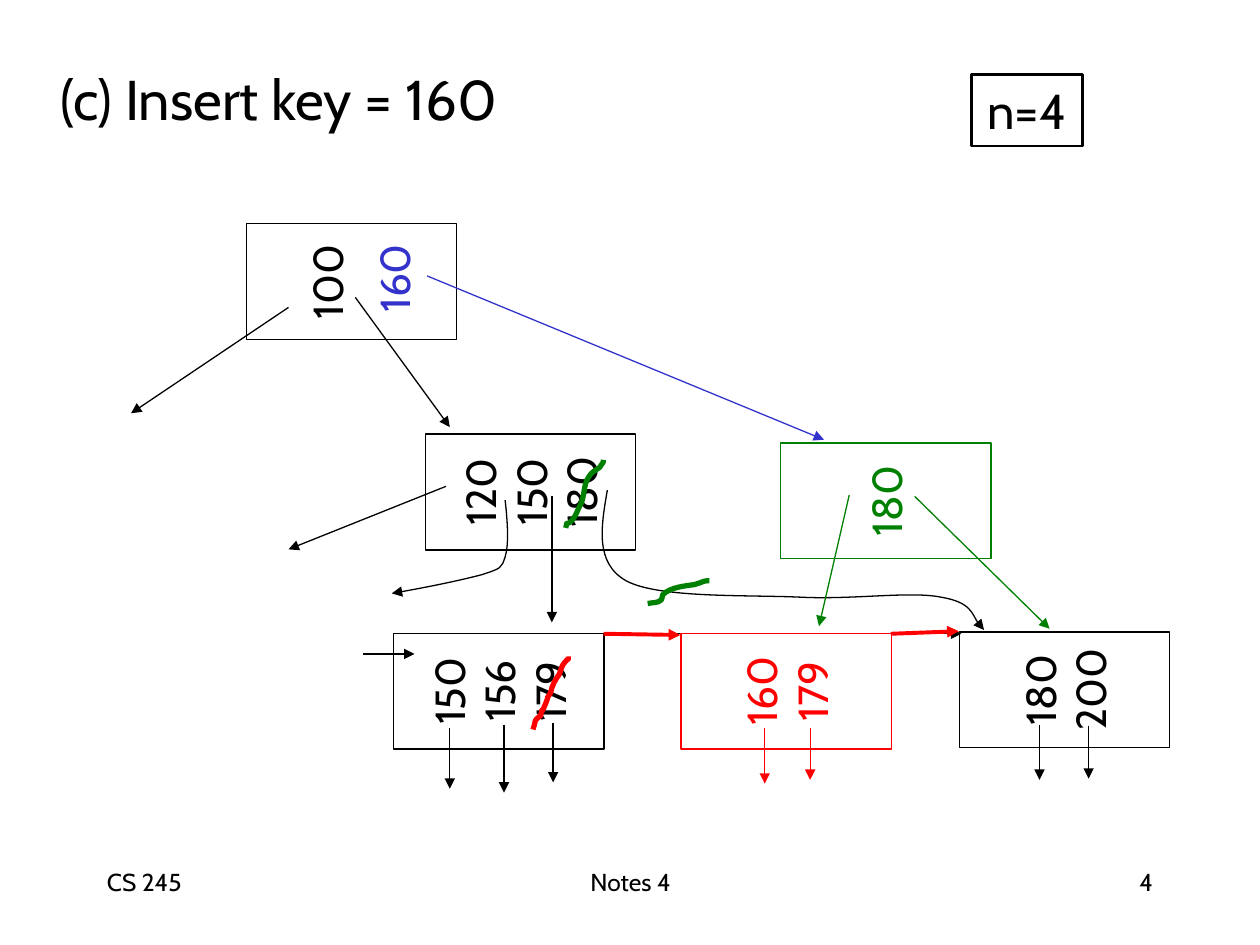
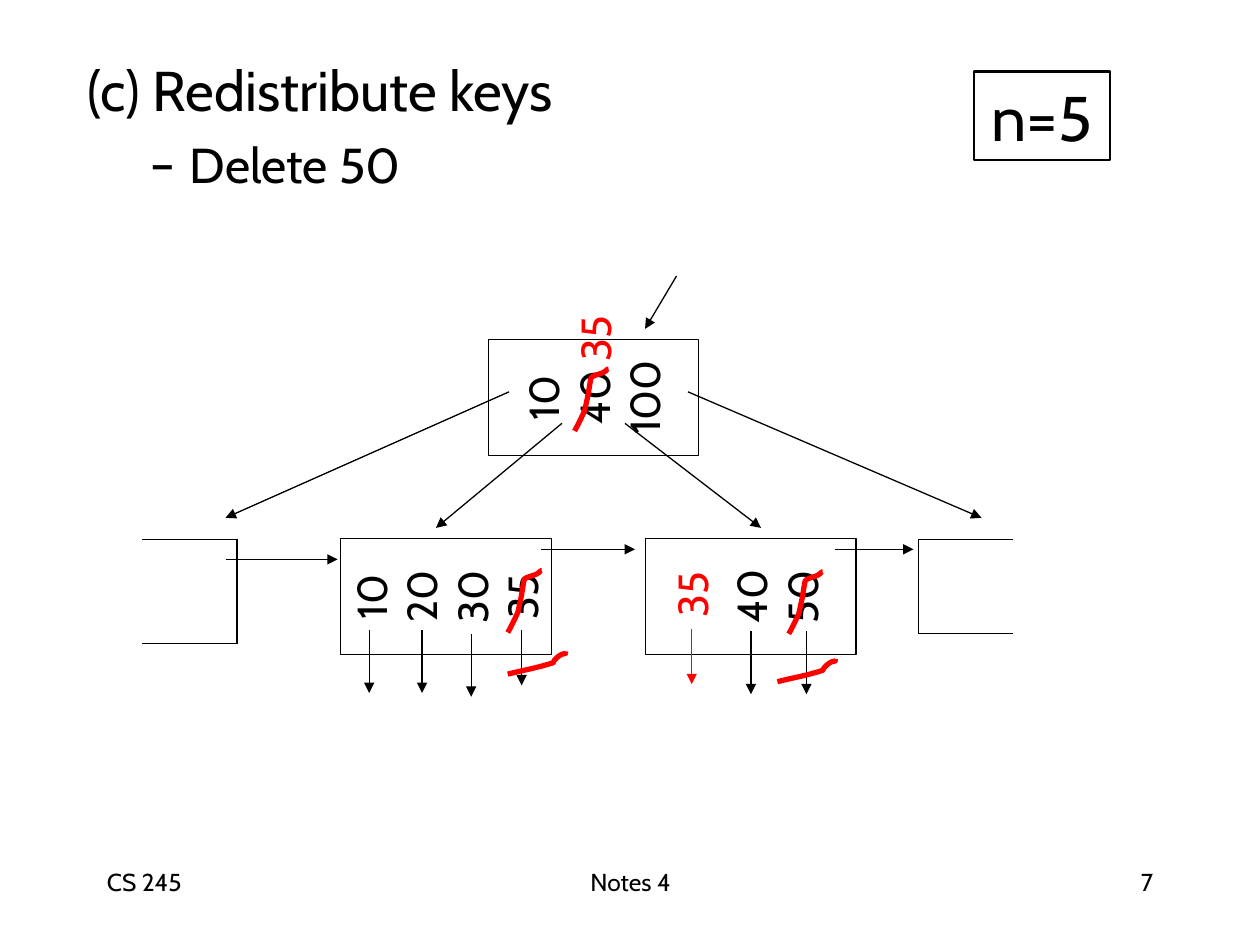
from lxml.etree import SubElement
from pptx import Presentation
from pptx.dml.color import RGBColor
from pptx.enum.shapes import MSO_CONNECTOR as CONNECTOR, MSO_SHAPE as SHAPE
from pptx.enum.text import MSO_ANCHOR as ANCHOR, MSO_AUTO_SIZE as AUTO_SIZE, PP_ALIGN as ALIGN
from pptx.oxml.ns import qn
from pptx.util import Inches, Pt

FONT = "Cabin"
BLACK, WHITE, BLUE, GREEN, RED = "000000", "FFFFFF", "3333CC", "008000", "FF0000"
NODE_LONG, NODE_SHORT = 1.67, 0.92
KEY_PITCH = 0.4
THIN, THICK, MARKER = 0.75, 2.25, 3

KEY_STRIKE = [(0, 0.49), (0.03, 0.44), (0.08, 0.33), (0.08, 0.33),
              (0.12, 0.15), (0.1, 0.24), (0.13, 0.07),
              (0.14, 0.05), (0.2, 0.04), (0.22, 0.03),
              (0.28, 0), (0.24, 0), (0.27, 0)]
POINTER_STRIKE = [(0, 0.19), (0.12, 0.16), (0.24, 0.14), (0.36, 0.1),
                  (0.37, 0.09), (0.37, 0.07), (0.39, 0.06),
                  (0.46, 0), (0.46, 0.05), (0.46, 0.01)]


def rgb(value):
    return RGBColor.from_string(value)


def write(paragraph, text, size, color=BLACK, align=ALIGN.LEFT):
    paragraph.alignment = align
    run = paragraph.add_run()
    run.text = text
    run.font.name = FONT
    run.font.size = Pt(size)
    run.font.color.rgb = rgb(color)


def set_indent(paragraph, left, hanging, bullet=None):
    props = paragraph._p.get_or_add_pPr()
    props.set("marL", str(Inches(left)))
    props.set("indent", str(-Inches(hanging)))
    if bullet:
        SubElement(props, qn("a:buFont")).set("typeface", FONT)
        SubElement(props, qn("a:buChar")).set("char", bullet)
    else:
        SubElement(props, qn("a:buNone"))


def add_text(slide, box, text, size, color=BLACK, align=ALIGN.LEFT):
    label = slide.shapes.add_textbox(*map(Inches, box))
    label.text_frame.word_wrap = True
    write(label.text_frame.paragraphs[0], text, size, color, align)
    return label


def add_footer(slide, number):
    add_text(slide, (0.75, 6.83, 2.08, 0.5), "CS 245", 14)
    add_text(slide, (3.42, 6.83, 3.17, 0.5), "Notes 4", 14, align=ALIGN.CENTER)
    add_text(slide, (7.17, 6.83, 2.08, 0.5), number, 14, align=ALIGN.RIGHT)


def add_heading(slide, box, title, step=None):
    frame = add_text(slide, box, title, 32).text_frame
    frame.paragraphs[0].space_before = Pt(8)
    set_indent(frame.paragraphs[0], 0.38, 0.38)
    if step:
        detail = frame.add_paragraph()
        write(detail, step, 28)
        detail.space_before = Pt(7)
        set_indent(detail, 0.81, 0.31, "–")


def add_box(slide, box, color, width):
    shape = slide.shapes.add_shape(SHAPE.RECTANGLE, *map(Inches, box))
    shape.shadow.inherit = False
    shape.line.color.rgb = rgb(color)
    shape.line.width = Pt(width)
    shape.text_frame.word_wrap = False
    shape.text_frame.vertical_anchor = ANCHOR.MIDDLE
    return shape


def add_order(slide, box, text, size):
    order = add_box(slide, box, BLACK, 1.5)
    order.fill.background()
    order.text_frame.auto_size = AUTO_SIZE.SHAPE_TO_FIT_TEXT
    paragraph = order.text_frame.paragraphs[0]
    paragraph.space_before = Pt(17.5)
    write(paragraph, text, size, align=ALIGN.CENTER)


def add_node(slide, left, top, keys, color=BLACK, free_before=0, free_after=0):
    node = add_box(slide, (left, top, NODE_SHORT, NODE_LONG), color, THIN)
    node.rotation = 270
    node.fill.solid()
    node.fill.fore_color.rgb = rgb(WHITE)
    frame = node.text_frame
    frame.margin_top = Inches(0.05 + KEY_PITCH * free_before)
    frame.margin_bottom = Inches(0.05 + KEY_PITCH * free_after)
    for i, key in enumerate(keys):
        paragraph = frame.add_paragraph() if i else frame.paragraphs[0]
        write(paragraph, key, 24, color, ALIGN.CENTER)


def add_new_key(slide, box, key, color):
    label = add_text(slide, box, key, 24, color, ALIGN.CENTER)
    label.text_frame.word_wrap = False
    label.text_frame.auto_size = AUTO_SIZE.SHAPE_TO_FIT_TEXT
    label.text_frame.vertical_anchor = ANCHOR.MIDDLE
    label.rotation = 270


def add_arrowhead(line):
    SubElement(line._get_or_add_ln(), qn("a:tailEnd")).set("type", "triangle")


def add_line(slide, start, end, color=BLACK, width=THIN, arrow=True):
    link = slide.shapes.add_connector(CONNECTOR.STRAIGHT, *map(Inches, (*start, *end)))
    link.line.color.rgb = rgb(color)
    link.line.width = Pt(width)
    if arrow:
        add_arrowhead(link.line)
    SubElement(link._element.spPr, qn("a:effectLst"))


def add_pointers(slide, pointers, color=BLACK):
    for x, top, bottom in pointers:
        add_line(slide, (x, top), (x, bottom), color)


def bend(curve):
    segments = list(curve._element.iter(qn("a:lnTo")))
    outline = segments[0].getparent()
    for i in range(0, len(segments), 3):
        cubic = SubElement(outline, qn("a:cubicBezTo"))
        for segment in segments[i:i + 3]:
            cubic.append(segment[0])
            outline.remove(segment)


def add_curve(slide, points, color=BLACK, width=THIN, arrow=False, origin=(0, 0)):
    start, *rest = [(Inches(x + origin[0]), Inches(y + origin[1])) for x, y in points]
    builder = slide.shapes.build_freeform(*start)
    builder.add_line_segments(rest, close=False)
    curve = builder.convert_to_shape()
    bend(curve)
    curve.shadow.inherit = False
    curve.fill.background()
    curve.line.color.rgb = rgb(color)
    curve.line.width = Pt(width)
    if arrow:
        add_arrowhead(curve.line)


def add_open_node(slide, edge, outer, top, bottom):
    for start, end in (((outer, top), (edge, top)), ((edge, top), (edge, bottom)),
                       ((edge, bottom), (outer, bottom))):
        add_line(slide, start, end, arrow=False)


def build_insert(slide):
    add_footer(slide, "4")
    add_heading(slide, (0.38, 0.46, 4.76, 0.74), "(c) Insert key = 160")
    add_order(slide, (7.71, 0.59, 0.88, 0.57), "n=4", 28)

    add_node(slide, 2.33, 1.4, ["100"], free_after=1)
    add_line(slide, (2.29, 2.44), (1.04, 3.28))
    add_line(slide, (2.82, 2.36), (3.57, 3.39))
    add_node(slide, 3.75, 3.07, ["120", "150", "180"])
    add_node(slide, 3.5, 4.65, ["150", "156", "179"])
    add_node(slide, 7.99, 4.64, ["180", "200"])
    add_line(slide, (3.54, 3.86), (2.29, 4.36))
    add_line(slide, (2.88, 5.19), (3.29, 5.19))
    add_line(slide, (4.38, 3.94), (4.38, 4.94))
    add_curve(slide, [(4.01, 3.97), (4.03, 4.15), (4.04, 4.32), (4.01, 4.42),
                      (3.98, 4.51), (3.98, 4.51), (3.83, 4.56),
                      (3.68, 4.6), (3.4, 4.66), (3.11, 4.71)], arrow=True)
    add_line(slide, (4.79, 5.03), (7.63, 5.03))
    add_curve(slide, [(4.82, 3.89), (4.77, 4.18), (4.72, 4.47), (4.97, 4.61),
                      (5.23, 4.75), (5.94, 4.72), (6.36, 4.74),
                      (6.78, 4.76), (7.23, 4.69), (7.47, 4.74),
                      (7.71, 4.78), (7.75, 4.96), (7.81, 5)], arrow=True)

    add_new_key(slide, (2.74, 1.96, 0.77, 0.5), "160", BLUE)
    add_line(slide, (3.39, 2.19), (6.54, 3.49), BLUE)
    add_pointers(slide, [(3.57, 5.78, 6.26), (4, 5.75, 6.29), (4.39, 5.74, 6.21),
                         (8.25, 5.75, 6.19), (8.64, 5.76, 6.18)])

    add_node(slide, 6.57, 3.14, ["180"], GREEN)
    add_line(slide, (6.74, 3.93), (6.5, 4.97), GREEN)
    add_line(slide, (7.26, 3.94), (8.33, 4.99), GREEN)
    add_curve(slide, [(5.14, 4.79), (5.18, 4.78), (5.22, 4.79), (5.25, 4.76),
                      (5.26, 4.75), (5.25, 4.73), (5.26, 4.72),
                      (5.32, 4.66), (5.44, 4.65), (5.51, 4.64),
                      (5.61, 4.61), (5.57, 4.61), (5.63, 4.61)], GREEN, MARKER)
    add_curve(slide, [(4.49, 4.19), (4.51, 4.11), (4.48, 4.19), (4.54, 4.13),
                      (4.57, 4.1), (4.59, 4.03), (4.61, 4),
                      (4.64, 3.94), (4.63, 3.85), (4.67, 3.79),
                      (4.69, 3.75), (4.73, 3.73), (4.76, 3.71),
                      (4.79, 3.66), (4.79, 3.68), (4.79, 3.65)], GREEN, MARKER)

    add_node(slide, 5.78, 4.65, ["160", "179"], RED)
    add_line(slide, (4.79, 5.03), (5.4, 5.04), RED, THICK)
    add_line(slide, (7.07, 5.03), (7.61, 5.01), RED, THICK)
    add_pointers(slide, [(6.07, 5.78, 6.22), (6.43, 5.78, 6.19)], RED)
    add_curve(slide, [(4.23, 5.79), (4.26, 5.7), (4.23, 5.73), (4.29, 5.68),
                      (4.32, 5.57), (4.27, 5.72), (4.32, 5.61),
                      (4.38, 5.47), (4.31, 5.59), (4.37, 5.5),
                      (4.38, 5.44), (4.41, 5.39), (4.44, 5.35),
                      (4.45, 5.32), (4.46, 5.28), (4.48, 5.26),
                      (4.52, 5.21), (4.51, 5.25), (4.51, 5.21)], RED, MARKER)


def build_redistribute(slide):
    add_footer(slide, "7")
    add_heading(slide, (0.6, 0.39, 5.1, 1.33), "(c) Redistribute keys", "Delete 50")

    add_node(slide, 4.25, 2.32, ["10", "40", "100"])
    add_node(slide, 3.08, 3.9, ["10", "20", "30", "35"])
    add_node(slide, 5.5, 3.9, ["40", "50"], free_before=1)
    add_open_node(slide, 1.88, 1.13, 4.28, 5.11)
    add_open_node(slide, 7.29, 8.04, 4.28, 5.03)

    for start, end in (((5.37, 2.19), (5.12, 2.61)),
                       ((4.46, 3.36), (3.46, 4.19)), ((4.96, 3.36), (6.04, 4.19)),
                       ((4.04, 3.11), (1.79, 4.11)), ((5.46, 3.11), (7.79, 4.11)),
                       ((1.79, 4.44), (2.68, 4.44)), ((4.29, 4.36), (5.04, 4.36)),
                       ((6.63, 4.36), (7.25, 4.36))):
        add_line(slide, start, end)
    add_pointers(slide, [(2.93, 5, 5.5), (3.35, 5, 5.5), (3.74, 5.03, 5.53),
                         (5.96, 5.01, 5.51), (6.4, 5.01, 5.51), (4.14, 5, 5.44)])
    add_order(slide, (7.73, 0.57, 1.08, 0.7), "n=5", 36)

    for left, top in ((5.2, 4.47), (4.43, 2.44)):
        add_new_key(slide, (left, top, 0.58, 0.5), "35", RED)
    add_pointers(slide, [(5.49, 4.99, 5.43)], RED)
    for origin in ((4.56, 2.93), (4.03, 4.53), (6.26, 4.54)):
        add_curve(slide, KEY_STRIKE, RED, MARKER, origin=origin)
    for origin in ((4.03, 5.16), (6.17, 5.22)):
        add_curve(slide, POINTER_STRIKE, RED, MARKER, origin=origin)


def main():
    deck = Presentation()
    deck.slide_width, deck.slide_height = Inches(10), Inches(7.5)
    for build in (build_insert, build_redistribute):
        build(deck.slides.add_slide(deck.slide_layouts[6]))
    deck.save("out.pptx")


if __name__ == "__main__":
    main()
